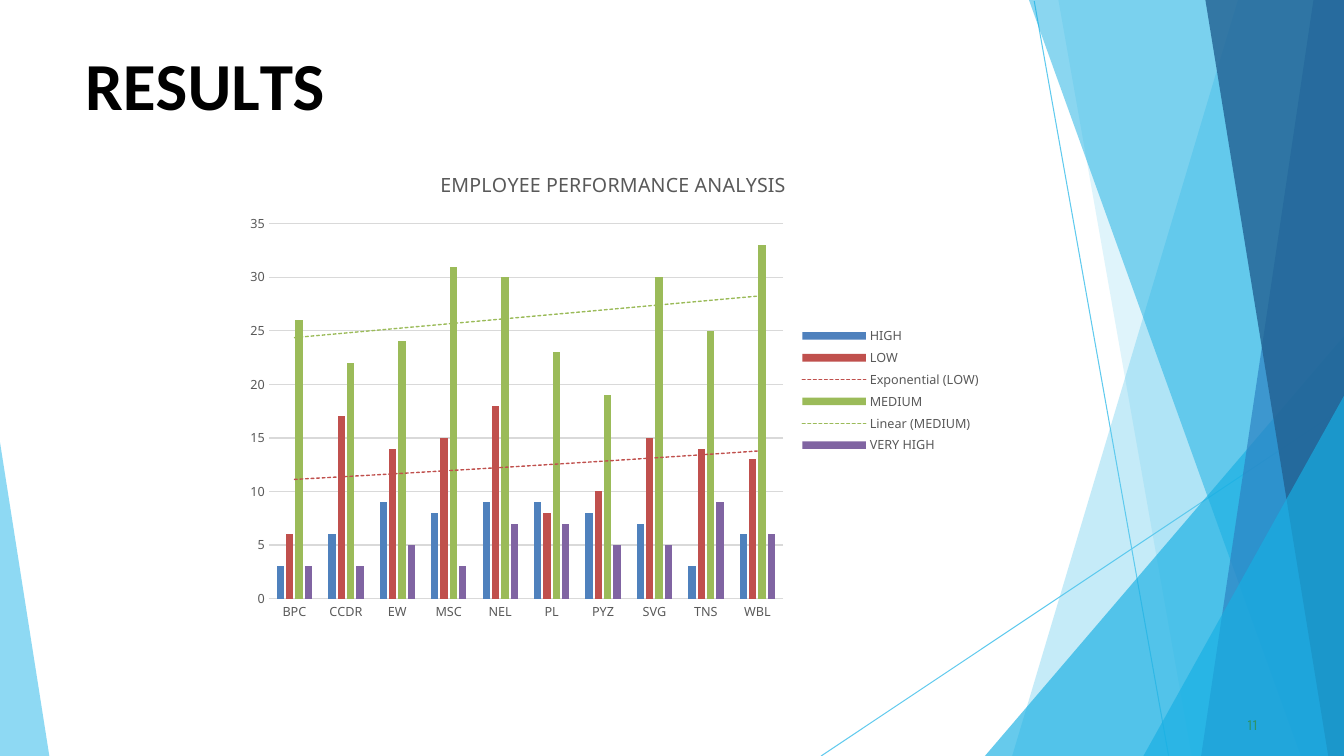
from dataclasses import dataclass

import lxml.etree
import pptx
import pptx.chart.data
import pptx.dml.color
import pptx.enum.chart
import pptx.enum.shapes
import pptx.oxml.ns
import pptx.util

PX = 9525
qn = pptx.oxml.ns.qn


@dataclass(frozen=True)
class Theme:
    sky: str = "5FCAEE"
    cyan: str = "17AFE3"
    blue: str = "2D83C3"
    navy: str = "226192"
    title: str = "000000"
    page: str = "2D936B"
    label: str = "595959"
    grid: str = "D9D9D9"
    title_font: str = "Calibri"
    page_font: str = "Karla"
    chart_font: str = "Noto Sans"
    title_size: int = 48
    page_size: int = 11
    chart_title_size: int = 14
    chart_size: int = 9


@dataclass(frozen=True)
class Box:
    left: int
    top: int
    width: int
    height: int

    def emu(self):
        return [n * PX for n in (self.left, self.top, self.width, self.height)]


THEME = Theme()

TEAMS = ["BPC", "CCDR", "EW", "MSC", "NEL", "PL", "PYZ", "SVG", "TNS", "WBL"]
RATINGS = [
    ("HIGH", "4F81BD", None, [3, 6, 9, 8, 9, 9, 8, 7, 3, 6]),
    ("LOW", "C0504D", "exp", [6, 17, 14, 15, 18, 8, 10, 15, 14, 13]),
    ("MEDIUM", "9BBB59", "linear", [26, 22, 24, 31, 30, 23, 19, 30, 25, 33]),
    ("VERY HIGH", "8064A2", None, [3, 3, 5, 3, 7, 7, 5, 5, 9, 6]),
]


def rgb(color):
    return pptx.dml.color.RGBColor.from_string(color)


def style_font(font, name, size, color, bold=False):
    font.name = name
    font.size = pptx.util.Pt(size)
    font.color.rgb = rgb(color)
    font.bold = bold


def add_ray(slide, box, start, end):
    (x1, y1), (x2, y2) = start, end
    ray = slide.shapes.add_connector(
        pptx.enum.shapes.MSO_CONNECTOR.STRAIGHT,
        (box.left + x1) * PX, (box.top + y1) * PX,
        (box.left + x2) * PX, (box.top + y2) * PX)
    ray.line.color.rgb = rgb(THEME.sky)
    ray.line.width = pptx.util.Pt(0.75)
    lxml.etree.SubElement(ray.element.spPr, qn("a:effectLst"))


def add_facet(slide, box, points, color, opacity):
    corners = [(box.left + x, box.top + y) for x, y in points]
    outline = slide.shapes.build_freeform(*corners[0], scale=PX)
    outline.add_line_segments(corners[1:], close=True)
    facet = outline.convert_to_shape()
    facet.shadow.inherit = False
    facet.fill.solid()
    facet.fill.fore_color.rgb = rgb(color)
    facet.line.fill.background()
    tint = facet.element.spPr.find(qn("a:solidFill")).find(qn("a:srgbClr"))
    lxml.etree.SubElement(tint, qn("a:alpha")).set("val", str(opacity * 1000))


def draw_right_facets(slide, box):
    right, bottom = box.width, box.height
    add_ray(slide, box, (203, 1), (331, bottom))
    add_ray(slide, box, (right, 388), (0, bottom))
    facets = [
        ([(right, 0), (397, 0)], 182, THEME.sky, 36),
        ([(right, 0), (226, 0)], 353, THEME.sky, 20),
        ([(right, 320)], 156, THEME.cyan, 66),
        ([(right, 0), (198, 0)], 457, THEME.cyan, 50),
        ([(right, 0), (469, 0)], 362, THEME.blue, 70),
        ([(right, 0), (366, 0)], 483, THEME.navy, 80),
        ([(right, 377)], 307, THEME.cyan, 66),
    ]
    for upper, foot, color, opacity in facets:
        points = upper + [(foot, bottom), (right, bottom)]
        add_facet(slide, box, points, color, opacity)


def draw_left_facet(slide, box):
    points = [(0, 0), (0, box.height), (box.width, box.height)]
    add_facet(slide, box, points, THEME.sky, 70)


def add_spaced_text(slide, box, pieces, font, space_before, left_inset=0):
    frame = slide.shapes.add_textbox(*box.emu()).text_frame
    frame.word_wrap = True
    frame.margin_left = left_inset * PX
    frame.margin_top = PX
    frame.margin_right = frame.margin_bottom = 0
    paragraph = frame.paragraphs[0]
    paragraph.space_before = pptx.util.Pt(space_before)
    for letters, spacing in pieces:
        run = paragraph.add_run()
        run.text = letters
        style_font(run.font, *font)
        run._r.get_or_add_rPr().set("spc", str(spacing))


def draw_title(slide, box):
    pieces = [("R", 0), ("E", -40), ("S", 10), ("U", -30), ("L", -400), ("TS", 0)]
    font = (THEME.title_font, THEME.title_size, THEME.title, True)
    add_spaced_text(slide, box, pieces, font, 1, 1)


def draw_page_number(slide, box):
    font = (THEME.page_font, THEME.page_size, THEME.page)
    add_spaced_text(slide, box, [("11", 10)], font, 0.6, 4)


def add_trendline(series_xml, kind, color):
    trend = lxml.etree.Element(qn("c:trendline"))
    properties = lxml.etree.SubElement(trend, qn("c:spPr"))
    line = lxml.etree.SubElement(properties, qn("a:ln"), w="12700", cap="rnd")
    fill = lxml.etree.SubElement(line, qn("a:solidFill"))
    lxml.etree.SubElement(fill, qn("a:srgbClr"), val=color)
    lxml.etree.SubElement(line, qn("a:prstDash"), val="sysDash")
    for tag, value in (("trendlineType", kind), ("dispRSqr", "0"), ("dispEq", "0")):
        lxml.etree.SubElement(trend, qn("c:" + tag), val=value)
    series_xml.find(qn("c:cat")).addprevious(trend)


def style_axes(chart):
    teams, scores = chart.category_axis, chart.value_axis
    for axis in (teams, scores):
        axis.major_tick_mark = pptx.enum.chart.XL_TICK_MARK.NONE
        axis.minor_tick_mark = pptx.enum.chart.XL_TICK_MARK.NONE
        style_font(axis.tick_labels.font, THEME.chart_font, THEME.chart_size, THEME.label)
    scores.minimum_scale, scores.maximum_scale, scores.major_unit = 0, 35, 5
    scores.format.line.fill.background()
    for line in (teams.format.line, scores.major_gridlines.format.line):
        line.color.rgb = rgb(THEME.grid)
        line.width = pptx.util.Pt(1)


def draw_performance_chart(slide, box):
    data = pptx.chart.data.CategoryChartData()
    data.categories = TEAMS
    for name, _, _, scores in RATINGS:
        data.add_series(name, scores)
    chart = slide.shapes.add_chart(
        pptx.enum.chart.XL_CHART_TYPE.COLUMN_CLUSTERED, *box.emu(), data).chart
    style_font(chart.font, THEME.chart_font, 10, THEME.title)

    chart.has_title = True
    heading = chart.chart_title.text_frame
    heading.text = "EMPLOYEE PERFORMANCE ANALYSIS"
    style_font(heading.paragraphs[0].runs[0].font, THEME.chart_font,
               THEME.chart_title_size, THEME.label)
    chart.chart_title.include_in_layout = False

    chart.has_legend = True
    chart.legend.position = pptx.enum.chart.XL_LEGEND_POSITION.RIGHT
    chart.legend.include_in_layout = False
    style_font(chart.legend.font, THEME.chart_font, THEME.chart_size, THEME.label)
    style_axes(chart)

    plot = chart.plots[0]
    plot.vary_by_categories = False
    plot.gap_width, plot.overlap = 219, -27
    for series, (_, color, trend, _) in zip(plot.series, RATINGS):
        series.format.fill.solid()
        series.format.fill.fore_color.rgb = rgb(color)
        if trend:
            add_trendline(series._element, trend, color)


def main():
    deck = pptx.Presentation()
    deck.slide_width, deck.slide_height = 1280 * PX, 720 * PX
    slide = deck.slides.add_slide(deck.slide_layouts[6])
    draw_right_facets(slide, Box(782, 0, 498, 720))
    draw_left_facet(slide, Box(0, 421, 47, 299))
    draw_title(slide, Box(80, 40, 256, 80))
    draw_page_number(slide, Box(1184, 680, 24, 20))
    draw_performance_chart(slide, Box(224, 144, 720, 456))
    deck.save("out.pptx")


if __name__ == "__main__":
    main()
